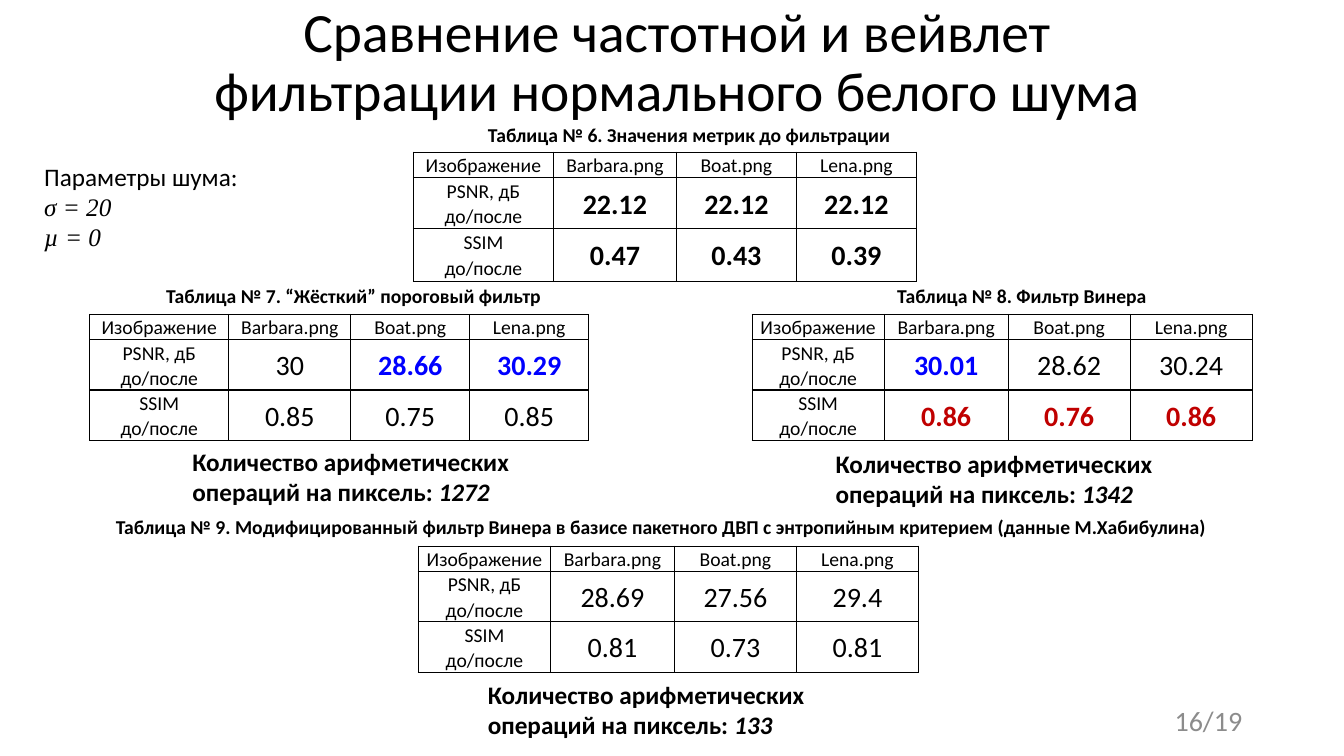
import pptx
import pptx.dml.color
import pptx.enum.text
import pptx.oxml
import pptx.oxml.ns
import pptx.util
from pptx.dml.color import RGBColor
from pptx.enum.text import MSO_ANCHOR, MSO_AUTO_SIZE, PP_ALIGN
from pptx.util import Inches, Pt

BLACK = RGBColor(0x00, 0x00, 0x00)
BLUE = RGBColor(0x00, 0x00, 0xFF)
RED = RGBColor(0xC0, 0x00, 0x00)
GRAY = RGBColor(0x8C, 0x8C, 0x8C)
SANS, SERIF = "Calibri", "Times New Roman"

TITLE = ["Сравнение частотной и вейвлет", "фильтрации нормального белого шума"]
PAGE = "16/19"
IMAGES = ["Изображение", "Barbara.png", "Boat.png", "Lena.png"]
METRICS = ["PSNR, дБ", "SSIM"]
STAGES = "до/после"
OPERATIONS = "Количество арифметических операций на пиксель: "
NOISE = [("Параметры шума:", SANS), ("σ = 20", SERIF), ("µ = 0", SERIF)]

PLAIN, BOLD = (BLACK, False), (BLACK, True)
BEST_PSNR, BEST_SSIM = (BLUE, True), (RED, True)
WIDE_COLUMNS = [1.31, 1.23, 1.21, 1.21]
EVEN_ROWS = [0.25, 0.49, 0.49]

COMPARISONS = [
    dict(caption="Таблица № 6. Значения метрик до фильтрации",
         caption_at=(4.74, 1.17, 4.21), grid_at=(4.1, 1.51),
         columns=[1.39, 1.22, 1.19, 1.19], rows=[0.24, 0.47, 0.52],
         values=[["22.12", "22.12", "22.12"], ["0.47", "0.43", "0.39"]],
         looks=[[BOLD] * 3, [BOLD] * 3]),
    dict(caption="Таблица № 7. “Жёсткий” пороговый фильтр",
         caption_at=(1.55, 2.76, 3.94), grid_at=(0.89, 3.12),
         columns=[1.38, 1.21, 1.18, 1.18], rows=EVEN_ROWS,
         values=[["30", "28.66", "30.29"], ["0.85", "0.75", "0.85"]],
         looks=[[PLAIN, BEST_PSNR, BEST_PSNR], [PLAIN] * 3],
         operations="1272", operations_at=(1.81, 4.38, 4.34)),
    dict(caption="Таблица № 8. Фильтр Винера",
         caption_at=(8.8, 2.76, 2.69), grid_at=(7.46, 3.12),
         columns=WIDE_COLUMNS, rows=EVEN_ROWS,
         values=[["30.01", "28.62", "30.24"], ["0.86", "0.76", "0.86"]],
         looks=[[BEST_PSNR, PLAIN, PLAIN], [BEST_SSIM] * 3],
         operations="1342", operations_at=(8.19, 4.4, 3.93)),
    dict(caption="Таблица № 9. Модифицированный фильтр Винера в базисе пакетного "
                 "ДВП с энтропийным критерием (данные М.Хабибулина)",
         caption_at=(1.05, 5.06, 11.07), grid_at=(4.15, 5.42),
         columns=WIDE_COLUMNS, rows=EVEN_ROWS,
         values=[["28.69", "27.56", "29.4"], ["0.81", "0.73", "0.81"]],
         looks=[[PLAIN] * 3, [PLAIN] * 3],
         operations="133", operations_at=(4.74, 6.69, 3.86)),
]


def add_run(paragraph, text, size, color=BLACK, bold=False, italic=False, face=SANS):
    """Append one formatted run to a paragraph."""
    run = paragraph.add_run()
    run.text = text
    font = run.font
    font.name, font.size, font.bold, font.italic = face, Pt(size), bold, italic
    font.color.rgb = color


def add_text_frame(slide, left, top, width, height, anchor=MSO_ANCHOR.TOP, wrap=True):
    """Add a text box and return its frame."""
    frame = slide.shapes.add_textbox(
        Inches(left), Inches(top), Inches(width), Inches(height)).text_frame
    frame.word_wrap = wrap
    frame.vertical_anchor = anchor
    return frame


def fill_cell(cell, lines, size, color=BLACK, bold=False):
    """Write centred lines into a bordered cell without fill."""
    cell.margin_left = cell.margin_right = Inches(0.07)
    cell.margin_top = cell.margin_bottom = 0
    cell.vertical_anchor = MSO_ANCHOR.MIDDLE
    properties = cell._tc.get_or_add_tcPr()
    for side in ("lnL", "lnR", "lnT", "lnB"):
        properties.append(pptx.oxml.parse_xml(
            f'<a:{side} {pptx.oxml.ns.nsdecls("a")} w="12700"><a:solidFill>'
            f'<a:srgbClr val="{BLACK}"/></a:solidFill></a:{side}>'))
    cell.fill.background()
    for index, line in enumerate(lines):
        paragraph = (cell.text_frame.add_paragraph() if index
                     else cell.text_frame.paragraphs[0])
        paragraph.alignment = PP_ALIGN.CENTER
        paragraph.line_spacing = 1.07
        add_run(paragraph, line, size, color, bold)


def add_comparison(slide, comparison):
    """Add a captioned table and its operation count."""
    columns, rows = comparison["columns"], comparison["rows"]
    left, top = comparison["grid_at"]
    grid = slide.shapes.add_table(
        len(rows), len(columns), Inches(left), Inches(top),
        Inches(sum(columns)), Inches(sum(rows))).table
    grid.first_row = grid.horz_banding = False
    for column, width in zip(grid.columns, columns):
        column.width = Inches(width)
    for row, height in zip(grid.rows, rows):
        row.height = Inches(height)
    for column, image in enumerate(IMAGES):
        fill_cell(grid.cell(0, column), [image], 14)
    for row, metric in enumerate(METRICS):
        fill_cell(grid.cell(row + 1, 0), [metric, STAGES], 14)
        scores = zip(comparison["values"][row], comparison["looks"][row])
        for column, (score, look) in enumerate(scores, 1):
            fill_cell(grid.cell(row + 1, column), [score], 20, *look)

    caption = add_text_frame(slide, *comparison["caption_at"], 0.34,
                             MSO_ANCHOR.MIDDLE, wrap=False)
    add_run(caption.paragraphs[0], comparison["caption"], 14, bold=True)
    if "operations" in comparison:
        count = add_text_frame(slide, *comparison["operations_at"], 0.71).paragraphs[0]
        add_run(count, OPERATIONS, 18, bold=True)
        add_run(count, comparison["operations"], 18, bold=True, italic=True)


def main():
    """Build the filter comparison slide."""
    deck = pptx.Presentation()
    deck.slide_width, deck.slide_height = Inches(13.33), Inches(7.5)
    slide = deck.slides.add_slide(deck.slide_layouts[5])

    title = slide.shapes.title
    title.left, title.top = Inches(0.82), Inches(0.29)
    title.width, title.height = Inches(11.79), Inches(0.69)
    title.text_frame.auto_size = MSO_AUTO_SIZE.NONE
    title.text_frame.vertical_anchor = MSO_ANCHOR.MIDDLE
    heading = title.text_frame.paragraphs[0]
    heading.alignment = PP_ALIGN.CENTER
    heading.line_spacing = 0.9
    add_run(heading, TITLE[0], 39.6)
    heading.add_line_break()
    add_run(heading, TITLE[1], 39.6)

    for comparison in COMPARISONS:
        add_comparison(slide, comparison)

    noise = add_text_frame(slide, 0.34, 1.55, 2.85, 1.01)
    for index, (line, face) in enumerate(NOISE):
        paragraph = noise.add_paragraph() if index else noise.paragraphs[0]
        add_run(paragraph, line, 18, italic=face == SERIF, face=face)

    page = add_text_frame(slide, 9.42, 6.95, 3, 0.4, MSO_ANCHOR.MIDDLE).paragraphs[0]
    page.alignment = PP_ALIGN.RIGHT
    add_run(page, PAGE, 20, GRAY)

    deck.save("out.pptx")


if __name__ == "__main__":
    main()
